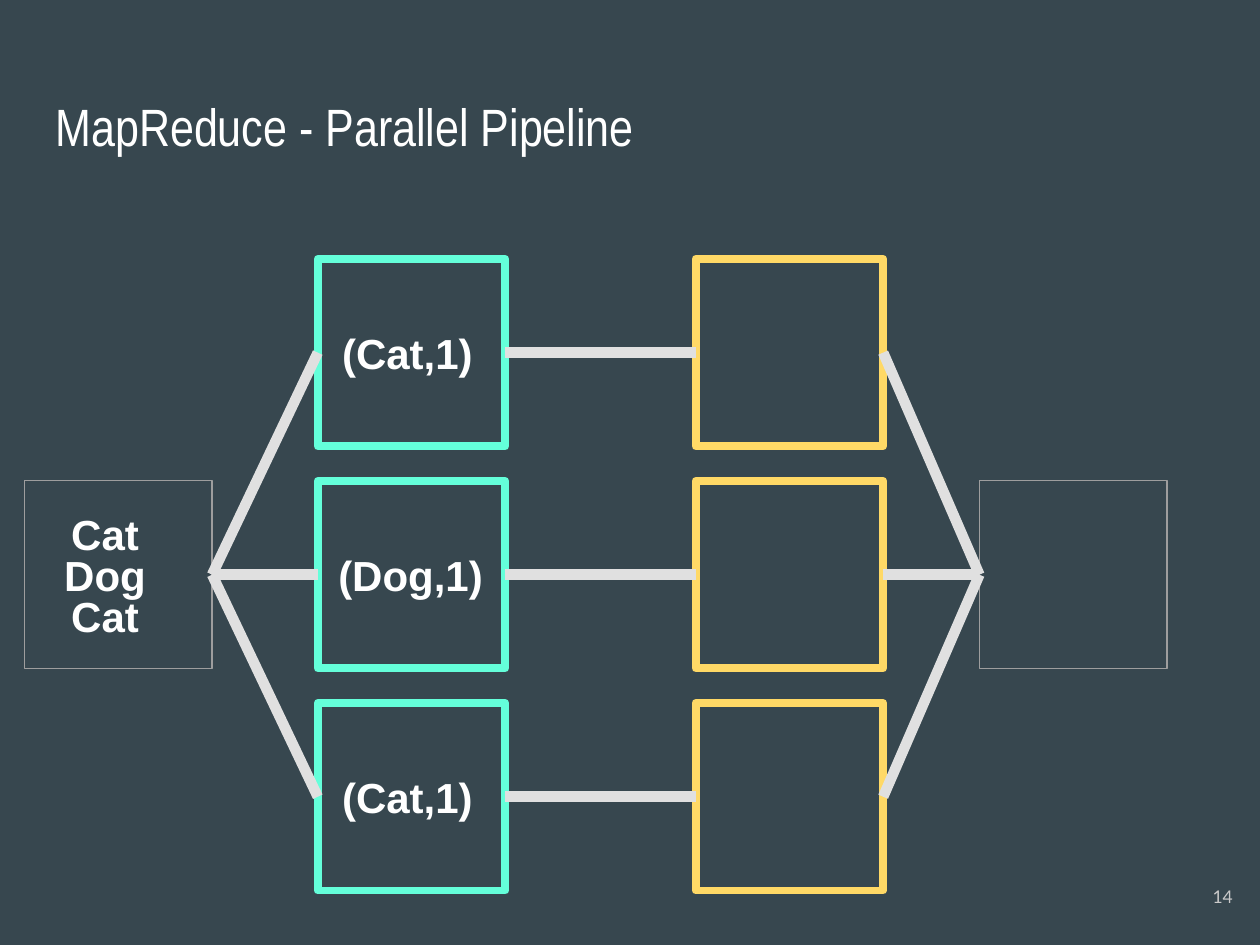
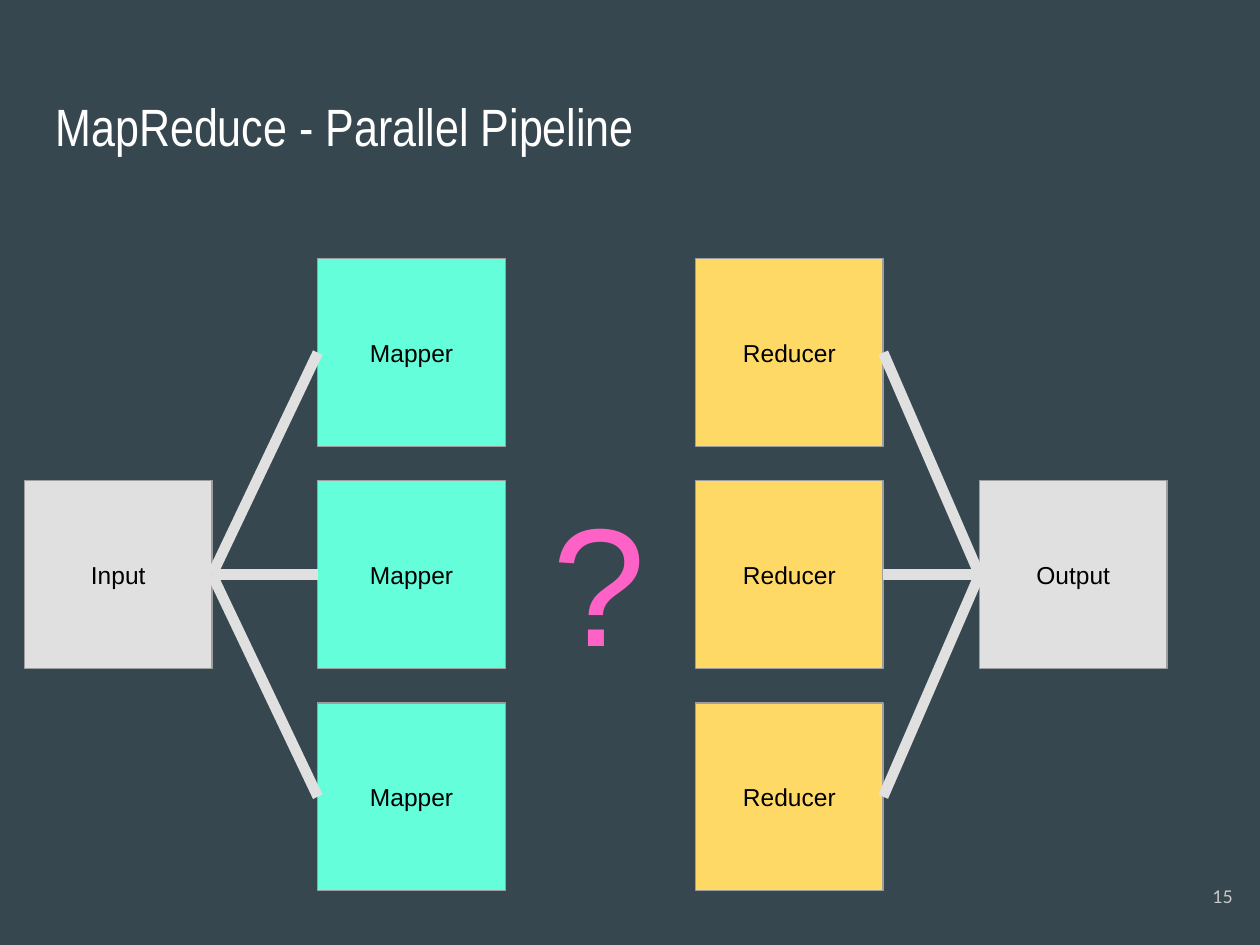
from lxml.etree import SubElement
from pptx import Presentation
from pptx.dml.color import RGBColor
from pptx.enum.shapes import MSO_CONNECTOR as Connector, MSO_SHAPE as Shape
from pptx.enum.text import MSO_ANCHOR as Anchor, PP_ALIGN as Align
from pptx.oxml.ns import qn
from pptx.util import Pt

TITLE = "MapReduce - Parallel Pipeline"
SLATE, WHITE, BLACK, SILVER = "37474F", "FFFFFF", "000000", "E0E0E0"
GREY, MINT, AMBER, PINK, PALE = "9E9E9E", "64FFDA", "FFD966", "FF62C6", "CACACA"

SIDE, PITCH, MIDDLE = 107.2, 126.9, 328.4
STAGES = {
    "Input": {"left": 14, "rows": (0,), "color": SILVER},
    "Mapper": {"left": 181.6, "rows": (-1, 0, 1), "color": MINT},
    "Reducer": {"left": 397.5, "rows": (-1, 0, 1), "color": AMBER},
    "Output": {"left": 559.7, "rows": (0,), "color": SILVER},
}
FAN_LINKS = [("Input", "Mapper"), ("Reducer", "Output")]
PAIR_LINK = ("Mapper", "Reducer")
INPUT_WORDS = ["Cat", "Dog", "Cat"]
MAPPED_PAIRS = [("(Cat,1)", 232.8), ("(Dog,1)", 234.6), ("(Cat,1)", 232.8)]
WORD_CENTER, WORD_PITCH = 60, 23.4

TITLE_FONT = {"size": Pt(30), "name": "Arial Narrow", "bold": False}
NUMBER_FONT = {"size": Pt(10), "name": "Lato"}
STAGE_FONT = {"size": Pt(14), "name": "Arial"}
WORD_FONT = {"size": Pt(24), "name": "Arial", "bold": True}
QUESTION_FONT = {"size": Pt(96), "name": "Arial"}
PADDING = {f"margin_{edge}": Pt(7.2) for edge in ("left", "top", "right", "bottom")}


def paint(target, color):
    """Give a fill or line a solid colour."""
    target.solid()
    target.fore_color.rgb = RGBColor.from_string(color)


def write(box, text, font, color, align=Align.CENTER, **frame_format):
    """Put one formatted paragraph into a shape."""
    frame = box.text_frame
    for name, value in frame_format.items():
        setattr(frame, name, value)
    para = frame.paragraphs[0]
    para.alignment = align
    span = para.add_run()
    span.text = text
    for name, value in font.items():
        setattr(span.font, name, value)
    paint(span.font.fill, color)


def row_center(row):
    """Return the height of a row's centre line."""
    return MIDDLE + row * PITCH


def add_stages(page, filled):
    """Draw every stage as filled, named boxes or as outlines."""
    for name, stage in STAGES.items():
        for row in stage["rows"]:
            box = page.shapes.add_shape(
                Shape.RECTANGLE, Pt(stage["left"]), Pt(row_center(row) - SIDE / 2), Pt(SIDE), Pt(SIDE))
            box.shadow.inherit = False
            thick = not filled and len(stage["rows"]) > 1
            paint(box.line.fill, stage["color"] if thick else GREY)
            box.line.width = Pt(4.5 if thick else 0.75)
            SubElement(box._element.spPr.find(qn("a:ln")), qn("a:round"))
            if filled:
                paint(box.fill, stage["color"])
                write(box, name, STAGE_FONT, BLACK, vertical_anchor=Anchor.MIDDLE, **PADDING)
            else:
                box.fill.background()


def add_link(page, source, target, source_row, target_row):
    """Join the right side of one box to the left side of another."""
    link = page.shapes.add_connector(
        Connector.STRAIGHT,
        Pt(STAGES[source]["left"] + SIDE), Pt(row_center(source_row)),
        Pt(STAGES[target]["left"]), Pt(row_center(target_row)))
    paint(link.line.fill, SILVER)
    link.line.width = Pt(6)
    SubElement(link._element.spPr, qn("a:effectLst"))


def add_fans(page):
    """Spread the input to the mappers and gather the reducers."""
    for source, target in FAN_LINKS:
        for source_row in STAGES[source]["rows"]:
            for target_row in STAGES[target]["rows"]:
                add_link(page, source, target, source_row, target_row)


def add_word(page, text, center, middle):
    """Place a bold word around a point."""
    width, height = 110, 36
    box = page.shapes.add_textbox(Pt(center - width / 2), Pt(middle - height / 2), Pt(width), Pt(height))
    write(box, text, WORD_FONT, WHITE, word_wrap=False)


def add_page(deck, number):
    """Add a page with its title and number."""
    page = deck.slides.add_slide(deck.slide_layouts[5])
    title = page.shapes.title
    title.left, title.top, title.width, title.height = Pt(24.5), Pt(46.8), Pt(671), Pt(59.8)
    write(title, TITLE, TITLE_FONT, WHITE, Align.LEFT, vertical_anchor=Anchor.TOP, **PADDING)
    box = page.shapes.add_textbox(Pt(668.4), Pt(491.8), Pt(43.2), Pt(41))
    write(box, str(number), NUMBER_FONT, PALE, Align.RIGHT,
          word_wrap=True, vertical_anchor=Anchor.MIDDLE, **PADDING)
    return page


def add_example_page(deck):
    """Show the words flowing through the outlined pipeline."""
    page = add_page(deck, 14)
    add_stages(page, filled=False)
    add_fans(page)
    for row in STAGES["Mapper"]["rows"]:
        add_link(page, *PAIR_LINK, row, row)
    for row, word in enumerate(INPUT_WORDS, -1):
        add_word(page, word, WORD_CENTER, MIDDLE + row * WORD_PITCH)
    for row, (pair, center) in enumerate(MAPPED_PAIRS, -1):
        add_word(page, pair, center, row_center(row))


def add_question_page(deck):
    """Show the named stages with the open middle step."""
    page = add_page(deck, 15)
    add_stages(page, filled=True)
    add_fans(page)
    box = page.shapes.add_textbox(Pt(308.9), Pt(270), Pt(67.7), Pt(123.8))
    write(box, "?", QUESTION_FONT, PINK, Align.LEFT, word_wrap=True)


def main():
    """Build and save the deck."""
    deck = Presentation()
    deck.slide_width, deck.slide_height = Pt(720), Pt(540)
    paint(deck.slide_master.background.fill, SLATE)
    add_example_page(deck)
    add_question_page(deck)
    deck.save("out.pptx")


if __name__ == "__main__":
    main()
